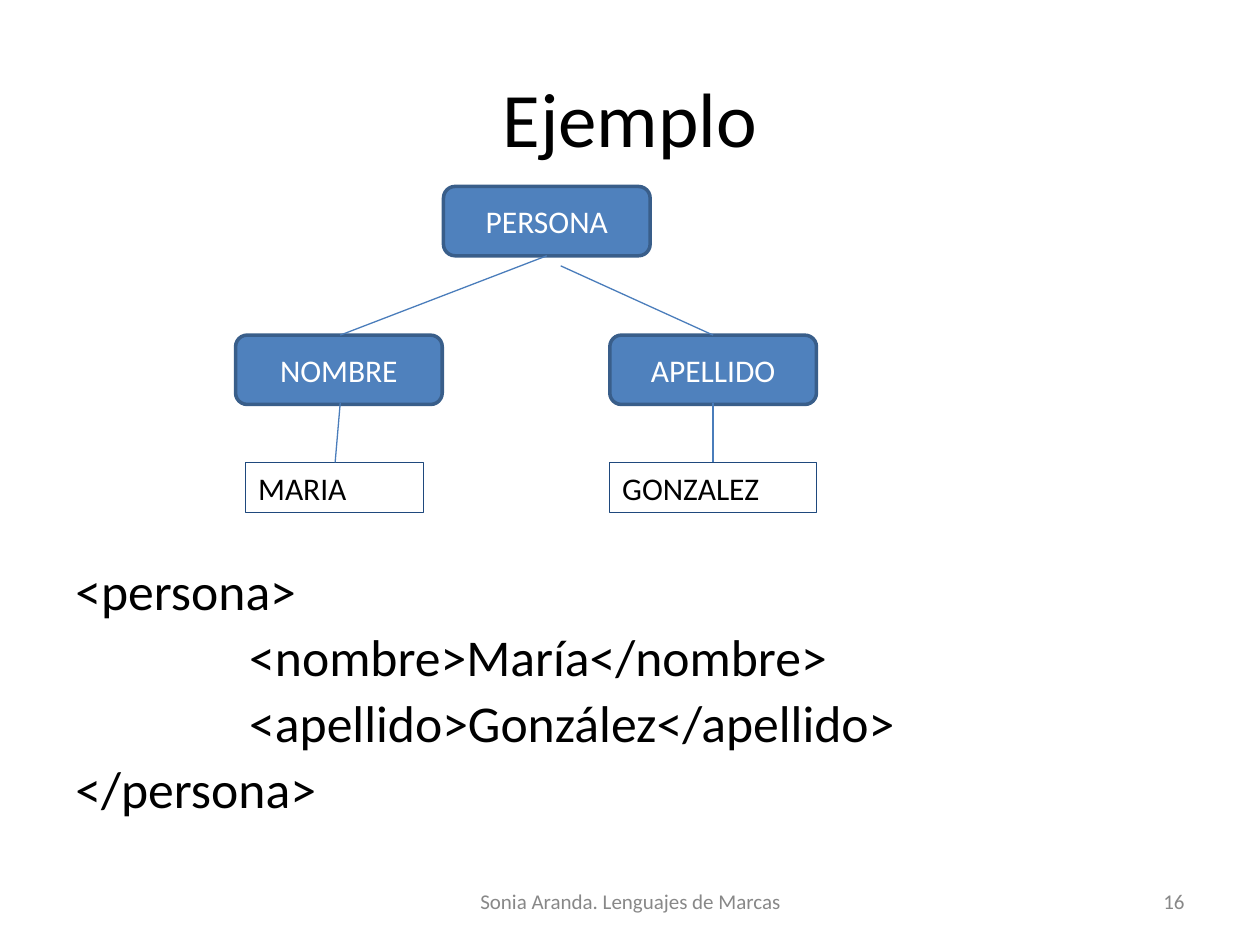
from pptx import Presentation
from pptx.util import Inches, Pt
from pptx.dml.color import RGBColor
from pptx.enum.shapes import MSO_SHAPE, MSO_CONNECTOR
from pptx.enum.text import PP_ALIGN, MSO_ANCHOR
from lxml import etree

BLACK = RGBColor(0x00, 0x00, 0x00)
WHITE = RGBColor(0xFF, 0xFF, 0xFF)
GRAY = RGBColor(0x88, 0x88, 0x88)
BLUE = RGBColor(0x4F, 0x81, 0xBD)
EDGE = RGBColor(0x39, 0x5E, 0x8A)
NAVY = RGBColor(0x1F, 0x49, 0x7D)
LINK = RGBColor(0x4A, 0x7D, 0xBB)
A = "http://schemas.openxmlformats.org/drawingml/2006/main"


def add_text(p, text, size, color, align):
    p.alignment = align
    r = p.add_run()
    r.text = text
    r.font.name = "Calibri"
    r.font.size = Pt(size)
    r.font.color.rgb = color


def add_box(kind, x, y, w, h, line, width):
    sp = s.shapes.add_shape(kind, Inches(x), Inches(y), Inches(w), Inches(h))
    sp.shadow.inherit = False
    sp.line.color.rgb = line
    sp.line.width = Pt(width)
    sp.text_frame.word_wrap = True
    return sp


prs = Presentation()
prs.slide_width, prs.slide_height = Inches(10), Inches(7.5)
s = prs.slides.add_slide(prs.slide_layouts[5])

title = s.shapes.title
title.left, title.top = Inches(0.5), Inches(0.3)
title.width, title.height = Inches(9), Inches(1.25)
title.text_frame.vertical_anchor = MSO_ANCHOR.MIDDLE
add_text(title.text_frame.paragraphs[0], "Ejemplo", 44, BLACK, PP_ALIGN.CENTER)

for text, x, y in [("PERSONA", 3.52, 1.48), ("NOMBRE", 1.87, 2.66), ("APELLIDO", 4.84, 2.66)]:
    sp = add_box(MSO_SHAPE.ROUNDED_RECTANGLE, x, y, 1.64, 0.55, EDGE, 2)
    sp.fill.solid()
    sp.fill.fore_color.rgb = BLUE
    sp.text_frame.vertical_anchor = MSO_ANCHOR.MIDDLE
    add_text(sp.text_frame.paragraphs[0], text, 18, WHITE, PP_ALIGN.CENTER)

for text, x, w in [("MARIA", 1.95, 1.41), ("GONZALEZ", 4.84, 1.64)]:
    sp = add_box(MSO_SHAPE.RECTANGLE, x, 3.67, w, 0.4, NAVY, 0.75)
    sp.fill.background()
    sp.text_frame.vertical_anchor = MSO_ANCHOR.TOP
    add_text(sp.text_frame.paragraphs[0], text, 18, BLACK, PP_ALIGN.LEFT)

links = [(4.34, 2.03, 2.7, 2.66), (4.45, 2.11, 5.66, 2.66),
         (2.7, 3.2, 2.66, 3.67), (5.66, 3.2, 5.66, 3.67)]
for ends in links:
    link = s.shapes.add_connector(MSO_CONNECTOR.STRAIGHT, *[Inches(v) for v in ends])
    link.line.color.rgb = LINK
    link.line.width = Pt(0.75)
    etree.SubElement(link._element.spPr, f"{{{A}}}effectLst")

code = s.shapes.add_textbox(Inches(0.5), Inches(3.91), Inches(9), Inches(2.79))
tf = code.text_frame
tf.word_wrap = True
tf.margin_top = Inches(0.58)
code_lines = [("<persona>", 0), ("<nombre>María</nombre>", 1.38),
              ("<apellido>González</apellido>", 1.38), ("</persona>", 0)]
for i, (text, indent) in enumerate(code_lines):
    p = tf.add_paragraph() if i else tf.paragraphs[0]
    p.line_spacing = 0.9
    p.space_before = Pt(5.9 if i else 0)
    p._p.get_or_add_pPr().set("marL", str(Inches(indent)))
    add_text(p, text, 29.5, BLACK, PP_ALIGN.LEFT)

for text, x, w, align in [("Sonia Aranda. Lenguajes de Marcas", 3.42, 3.17, PP_ALIGN.CENTER),
                          ("16", 7.17, 2.33, PP_ALIGN.RIGHT)]:
    footer = s.shapes.add_textbox(Inches(x), Inches(6.95), Inches(w), Inches(0.4))
    footer.text_frame.word_wrap = True
    footer.text_frame.vertical_anchor = MSO_ANCHOR.MIDDLE
    add_text(footer.text_frame.paragraphs[0], text, 12, GRAY, align)

prs.save("out.pptx")
